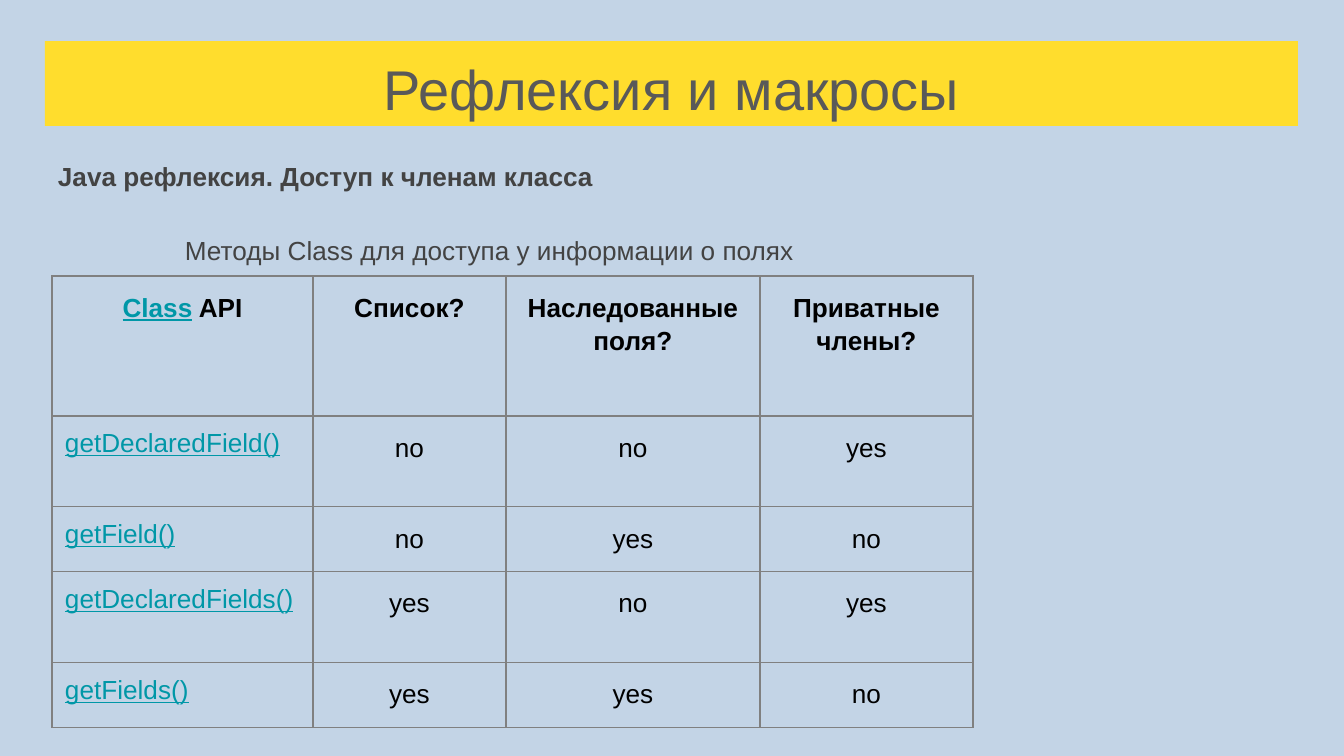
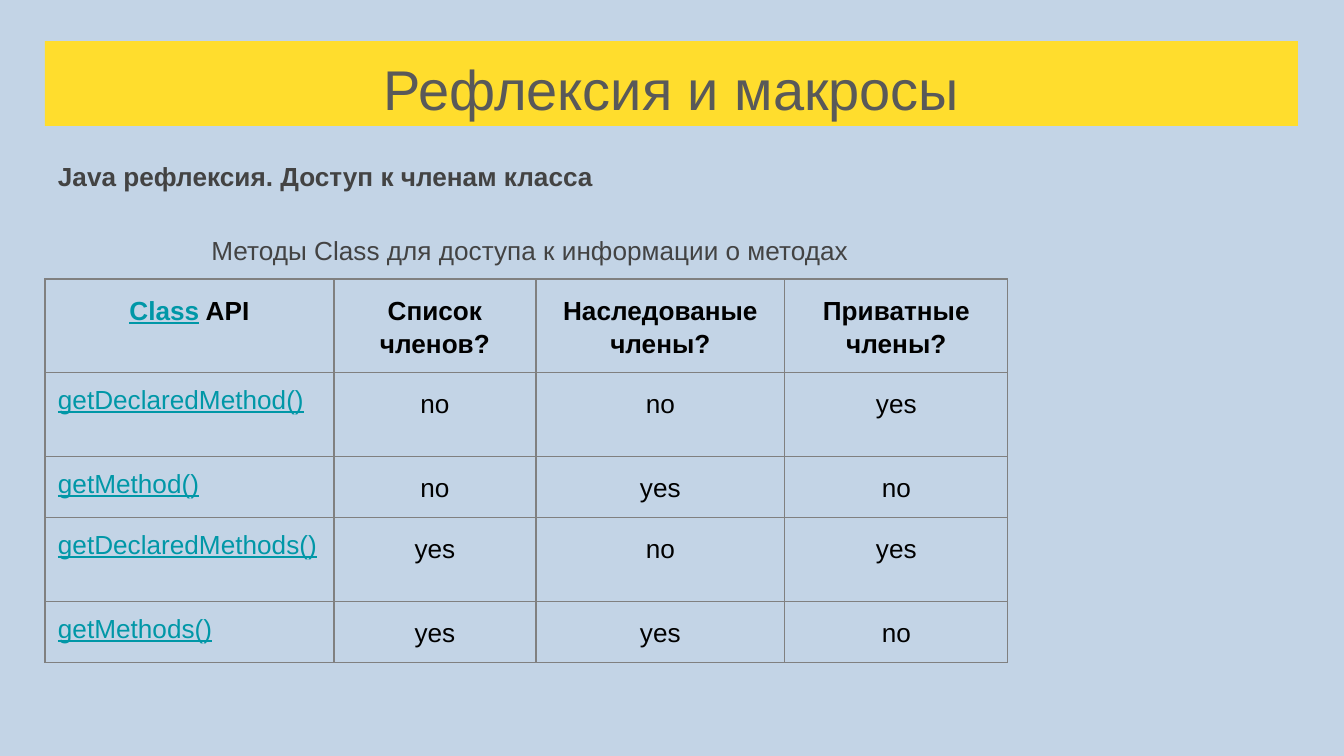
from dataclasses import dataclass

from lxml.etree import SubElement
from pptx import Presentation
from pptx.dml.color import RGBColor
from pptx.enum.text import MSO_ANCHOR, MSO_AUTO_SIZE, PP_ALIGN
from pptx.oxml.ns import qn
from pptx.util import Emu, Pt


@dataclass(frozen=True)
class Theme:
    background: str = "C3D4E6"
    band: str = "FFDD2D"
    title: str = "595959"
    body: str = "434343"
    cell: str = "000000"
    link: str = "0097A7"
    border: str = "808080"
    font: str = "Arial"
    title_size: int = 30
    body_size: int = 14
    border_width: float = 0.75
    cell_spacing: float = 1.15


def px(n):
    """Pixels to EMU, at 1344 px for 10 inches."""
    return Emu(round(n * 9144000 / 1344))


WIDTH, HEIGHT, INSET = 1344, 756, 13
MARGIN, CONTENT_WIDTH = 45, 1253


def write(tf, text, font, size, color, bold=False, link="", link_color=None,
          align=PP_ALIGN.LEFT, spacing=None):
    """Write one paragraph: an underlined link word, then plain text."""
    p = tf.paragraphs[0]
    p.alignment = align
    if spacing:
        p.line_spacing = spacing
    for part, is_link in ((link, True), (text, False)):
        if not part:
            continue
        r = p.add_run()
        r.text = part
        r.font.name, r.font.size, r.font.bold = font, Pt(size), bold
        r.font.underline = is_link
        r.font.color.rgb = RGBColor.from_string(link_color if is_link else color)


def set_insets(target):
    target.margin_left = target.margin_right = px(INSET)
    target.margin_top = target.margin_bottom = px(INSET)


class Deck:
    def __init__(self, theme):
        self.theme = theme
        self.prs = Presentation()
        self.prs.slide_width, self.prs.slide_height = px(WIDTH), px(HEIGHT)
        self.s = None

    def add_slide(self, title):
        t = self.theme
        self.s = self.prs.slides.add_slide(self.prs.slide_layouts[5])
        fill = self.s.background.fill
        fill.solid()
        fill.fore_color.rgb = RGBColor.from_string(t.background)
        # Title on a yellow band
        sp = self.s.shapes.title
        sp.left, sp.top, sp.width, sp.height = map(px, (MARGIN, 41, CONTENT_WIDTH, 85))
        sp.fill.solid()
        sp.fill.fore_color.rgb = RGBColor.from_string(t.band)
        self.frame(sp, title, size=t.title_size, color=t.title, align=PP_ALIGN.CENTER)

    def frame(self, sp, text, anchor=MSO_ANCHOR.TOP, **fmt):
        tf = sp.text_frame
        tf.word_wrap = True
        tf.auto_size = MSO_AUTO_SIZE.NONE
        tf.vertical_anchor = anchor
        set_insets(tf)
        write(tf, text, self.theme.font, **fmt)

    def text(self, text, left, top, width, height, **fmt):
        sp = self.s.shapes.add_textbox(*map(px, (left, top, width, height)))
        self.frame(sp, text, size=self.theme.body_size, color=self.theme.body, **fmt)

    def border(self, cell):
        tcPr = cell._tc.get_or_add_tcPr()
        for side in ("lnL", "lnR", "lnT", "lnB"):
            ln = SubElement(tcPr, qn(f"a:{side}"), w=str(Pt(self.theme.border_width)))
            fill = SubElement(ln, qn("a:solidFill"))
            SubElement(fill, qn("a:srgbClr"), val=self.theme.border)

    def table(self, rows, left, top, widths, heights):
        t = self.theme
        box = map(px, (left, top, sum(widths), sum(heights)))
        tbl = self.s.shapes.add_table(len(heights), len(widths), *box).table
        tbl.first_row = tbl.horz_banding = False
        for col, width in zip(tbl.columns, widths):
            col.width = px(width)
        for row, height in zip(tbl.rows, heights):
            row.height = px(height)
        for i, row in enumerate(rows):
            for j, text in enumerate(row):
                cell = tbl.cell(i, j)
                set_insets(cell)
                self.border(cell)
                cell.fill.background()
                # Links: the class name in the header, method names below it
                link = ""
                if j == 0:
                    link, text = ("Class", " API") if i == 0 else (text, "")
                method = i > 0 and j == 0
                write(cell.text_frame, text, t.font, t.body_size, t.cell,
                      bold=i == 0, link=link, link_color=t.link,
                      align=PP_ALIGN.LEFT if method else PP_ALIGN.CENTER,
                      spacing=None if method else t.cell_spacing)


# Answers for one member, an accessible one, and their list forms
ANSWERS = [
    ("no", "no", "yes"),
    ("no", "yes", "no"),
    ("yes", "no", "yes"),
    ("yes", "yes", "no"),
]


def member_slide(deck, caption, caption_width, member, headers, **table_box):
    deck.add_slide("Рефлексия и макросы")
    deck.text("Java рефлексия. Доступ к членам класса",
              MARGIN, 147, CONTENT_WIDTH, 58, bold=True)
    methods = [f"get{kind}{member}{end}()"
               for end in ("", "s") for kind in ("Declared", "")]
    rows = [("Class API", *headers)]
    rows += [(method, *answer) for method, answer in zip(methods, ANSWERS)]
    deck.table(rows, **table_box)
    deck.text(caption, 52, 235, caption_width, 30,
              anchor=MSO_ANCHOR.MIDDLE, align=PP_ALIGN.CENTER)


def main():
    deck = Deck(Theme())
    # Fields
    member_slide(deck, "Методы Class для доступа у информации о полях", 875, "Field",
                 ("Список?", "Наследованные поля?", "Приватные члены?"),
                 left=52, top=276, widths=(261, 193, 254, 213),
                 heights=(140, 91, 65, 91, 65))
    # Methods
    member_slide(deck, "Методы Class для доступа к информации о методах", 956, "Method",
                 ("Список членов?", "Наследованые члены?", "Приватные члены?"),
                 left=MARGIN, top=279, widths=(289, 202, 249, 223),
                 heights=(90, 84, 61, 84, 61))
    deck.prs.save("out.pptx")


if __name__ == "__main__":
    main()
